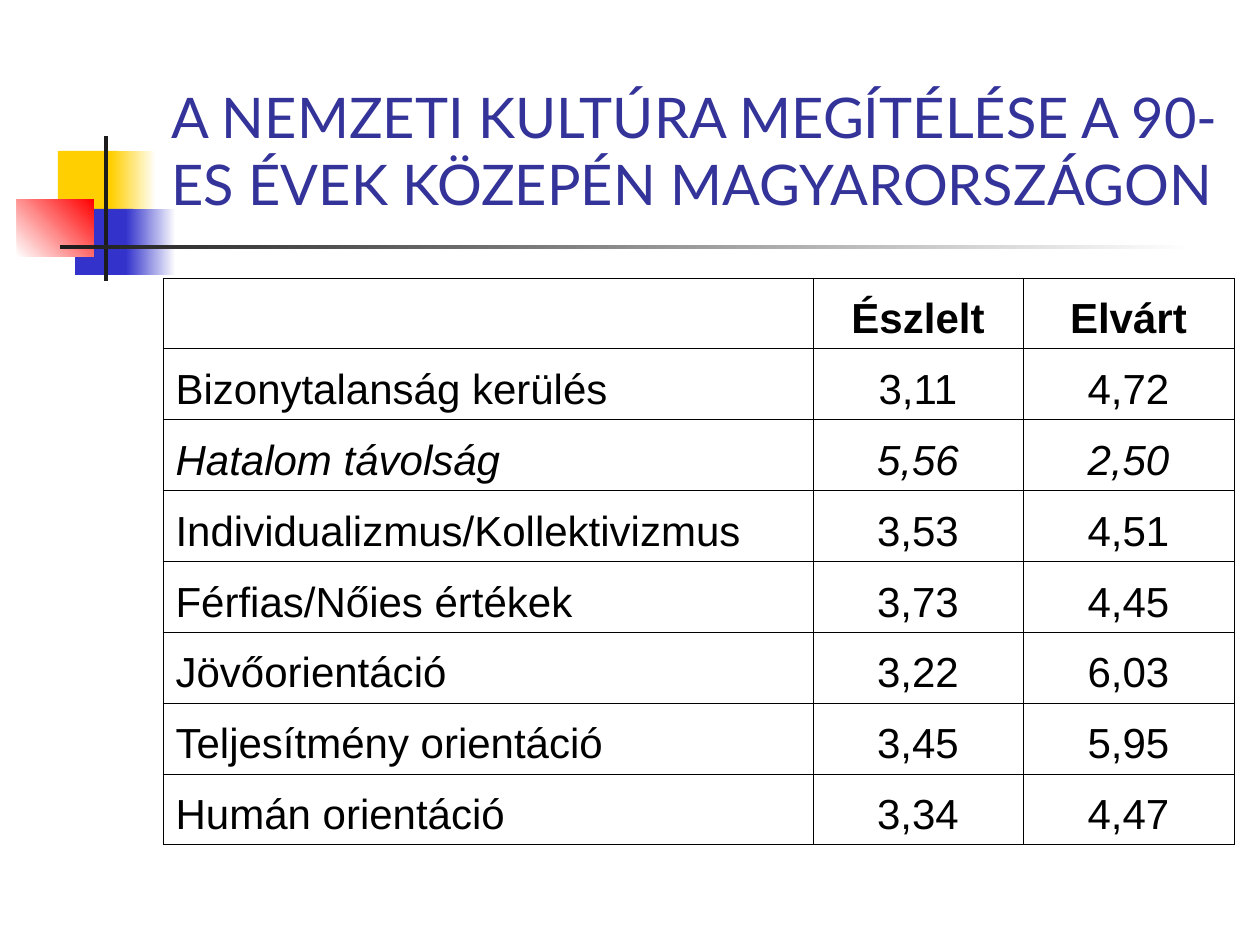
from lxml import etree
from pptx import Presentation
from pptx import util as u
from pptx.dml.color import RGBColor
from pptx.enum import shapes, text
from pptx.oxml import ns

PX = 914400 / 126

WHITE = RGBColor(0xFF, 0xFF, 0xFF)
BLACK = RGBColor(0, 0, 0)
DARK = RGBColor(0x1C, 0x1C, 0x1C)
GOLD = RGBColor(0xFF, 0xCF, 0x01)
BLUE = RGBColor(0x33, 0x33, 0xCC)
RED = RGBColor(0xFF, 0, 0)
NAVY = RGBColor(0x33, 0x33, 0x99)

TITLE = "A NEMZETI KULTÚRA MEGÍTÉLÉSE A 90-ES ÉVEK KÖZEPÉN MAGYARORSZÁGON"
ROWS = [
    ("", "Észlelt", "Elvárt"),
    ("Bizonytalanság kerülés", "3,11", "4,72"),
    ("Hatalom távolság", "5,56", "2,50"),
    ("Individualizmus/Kollektivizmus", "3,53", "4,51"),
    ("Férfias/Nőies értékek", "3,73", "4,45"),
    ("Jövőorientáció", "3,22", "6,03"),
    ("Teljesítmény orientáció", "3,45", "5,95"),
    ("Humán orientáció", "3,34", "4,47"),
]
HEAD, SLANT = 0, 2  # bold row, italic row


def px(n):
    return u.Emu(round(n * PX))


def add_run(para, words, font, size, color):
    run = para.add_run()
    run.text = words
    run.font.name = font
    run.font.size = u.Pt(size)
    run.font.color.rgb = color
    return run


def add_block(slide, box, start, end=None, angle=0):
    """Rectangle without outline, plain or fading from start to end."""
    block = slide.shapes.add_shape(shapes.MSO_SHAPE.RECTANGLE, *map(px, box))
    block.shadow.inherit = False
    block.line.fill.background()
    if end is None:
        block.fill.solid()
        block.fill.fore_color.rgb = start
        return
    block.fill.gradient()
    block.fill.gradient_angle = angle
    for stop, color in zip(block.fill.gradient_stops, (start, end)):
        stop.color.rgb = color


def add_motif(slide, x, y):
    """Coloured squares crossed by two dark bars."""
    blocks = [
        (41, 15, 60, 66, GOLD),
        (94, 15, 45, 66, GOLD, WHITE),
        (58, 73, 58, 66, BLUE),
        (109, 73, 50, 66, BLUE, WHITE),
        (0, 63, 77, 58, WHITE, RED, 45),
        (87, 0, 4, 145, DARK),
        (43, 109, 1134, 4, DARK, WHITE),
    ]
    for left, top, wide, high, *paint in blocks:
        add_block(slide, (x + left, y + top, wide, high), *paint)


def set_title(slide, box):
    title = slide.shapes.title
    title.left, title.top, title.width, title.height = map(px, box)
    frame = title.text_frame
    frame.word_wrap = True
    frame.auto_size = text.MSO_AUTO_SIZE.NONE
    frame.vertical_anchor = text.MSO_ANCHOR.BOTTOM
    para = frame.paragraphs[0]
    para.alignment = text.PP_ALIGN.LEFT
    add_run(para, TITLE, "Lato", 32, NAVY)


def set_edges(cell):
    """Thin black line on all four sides, placed ahead of the fill."""
    props = cell._tc.get_or_add_tcPr()
    for spot, side in enumerate(("lnL", "lnR", "lnT", "lnB")):
        line = etree.Element(ns.qn("a:" + side), w=str(u.Pt(0.45)))
        fill = etree.SubElement(line, ns.qn("a:solidFill"))
        etree.SubElement(fill, ns.qn("a:srgbClr"), val=str(BLACK))
        props.insert(spot, line)


def add_grid(slide, box, widths):
    frame = slide.shapes.add_table(len(ROWS), len(widths), *map(px, box))
    table = frame.table
    table.first_row = table.horz_banding = False
    for col, width in zip(table.columns, widths):
        col.width = px(width)
    for r, row in enumerate(ROWS):
        table.rows[r].height = px(box[3] / len(ROWS))
        for c, words in enumerate(row):
            cell = table.cell(r, c)
            cell.fill.background()
            set_edges(cell)
            cell.vertical_anchor = text.MSO_ANCHOR.BOTTOM
            if not words:
                continue
            para = cell.text_frame.paragraphs[0]
            para.alignment = text.PP_ALIGN.CENTER if c else text.PP_ALIGN.LEFT
            run = add_run(para, words, "Arial", 24, BLACK)
            run.font.bold = r == HEAD
            run.font.italic = r == SLANT


def main():
    deck = Presentation()
    deck.slide_width, deck.slide_height = px(1260), px(945)
    slide = deck.slides.add_slide(deck.slide_layouts[5])
    add_motif(slide, 17, 136)
    set_title(slide, (159, 66, 1073, 157))
    add_grid(slide, (163, 278, 1071, 567), (650, 210, 211))
    deck.save("out.pptx")


if __name__ == "__main__":
    main()
